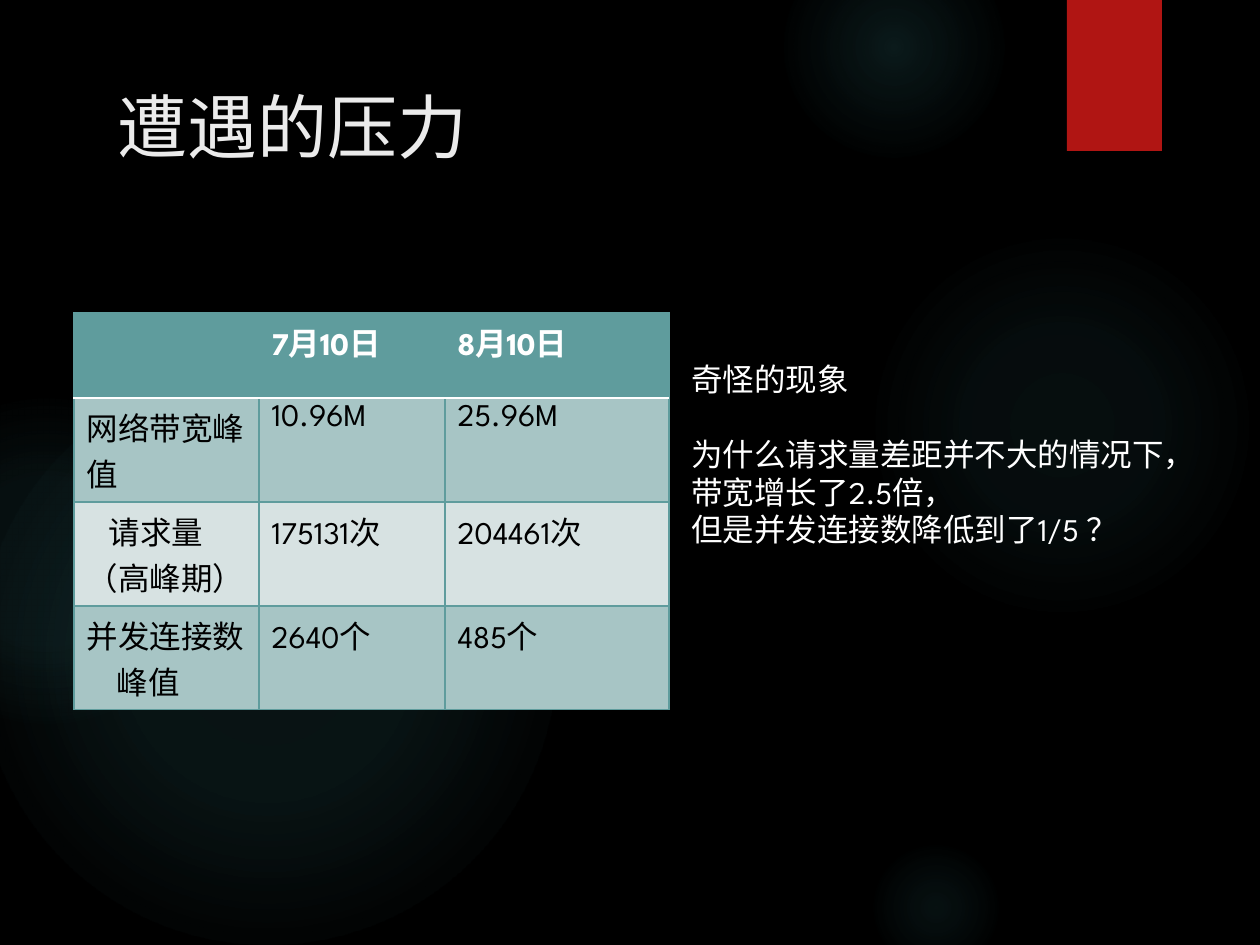
from lxml import etree
from pptx import Presentation
from pptx.dml.color import RGBColor
from pptx.enum.shapes import MSO_SHAPE as Shape
from pptx.enum.text import MSO_ANCHOR as Anchor
from pptx.oxml import parse_xml
from pptx.oxml.ns import nsdecls, qn
from pptx.util import Pt

EMU_PER_PX = 914400 / 126
FONT = "League Spartan"
BLACK, WHITE, TITLE = "000000", "FFFFFF", "EBEBEB"
RED, GLOW, TEAL = "B01513", "50B9C1", "5F9C9D"
BANDS = ["A7C5C5", "D7E2E2"]


def px(length):
    return round(length * EMU_PER_PX)


def rgb(value):
    return RGBColor.from_string(value)


def write(para, text, size=18, color=WHITE, bold=False, indent=0, before=0):
    """Put one formatted span in para; indent is in px, before in points."""
    if indent:
        para._p.get_or_add_pPr().set("indent", str(px(indent)))
    para.space_before = Pt(before)
    span = para.add_run()
    span.text = text
    font = span.font
    font.name, font.size, font.bold = FONT, Pt(size), bold
    font.color.rgb = rgb(color)


def write_lines(frame, lines, **style):
    """Write (text, extra format) pairs, one paragraph each."""
    for index, (text, extra) in enumerate(lines):
        para = frame.add_paragraph() if index else frame.paragraphs[0]
        write(para, text, **{**style, **extra})


def set_border(cell, side, color, width):
    line = etree.SubElement(cell._tc.get_or_add_tcPr(), qn(f"a:ln{side}"), w=str(Pt(width)))
    fill = etree.SubElement(line, qn("a:solidFill"))
    etree.SubElement(fill, qn("a:srgbClr"), val=color)


class SlideBuilder:
    def __init__(self, page, background):
        self.page = page
        page.background.fill.solid()
        page.background.fill.fore_color.rgb = rgb(background)

    def shape(self, kind, left, top, width, height, color):
        shape = self.page.shapes.add_shape(kind, px(left), px(top), px(width), px(height))
        shape.shadow.inherit = False
        shape.line.fill.background()
        shape.fill.solid()
        shape.fill.fore_color.rgb = rgb(color)
        return shape

    def glow(self, left, top, size, stops):
        """Draw a circle fading outward; stops are (position %, opacity %)."""
        circle = self.shape(Shape.OVAL, left, top, size, size, GLOW)
        marks = "".join(
            f'<a:gs pos="{position * 1000}"><a:srgbClr val="{GLOW}">'
            f'<a:alpha val="{opacity * 1000}"/></a:srgbClr></a:gs>'
            for position, opacity in stops
        )
        gradient = parse_xml(
            f'<a:gradFill {nsdecls("a")} rotWithShape="1"><a:gsLst>{marks}</a:gsLst>'
            '<a:path path="circle"><a:fillToRect l="50000" t="50000" r="50000" b="50000"/>'
            "</a:path></a:gradFill>"
        )
        properties = circle._element.spPr
        properties.replace(properties.find(qn("a:solidFill")), gradient)

    def text(self, left, top, width, height, lines, anchor=Anchor.TOP, wrap=True, **style):
        box = self.page.shapes.add_textbox(px(left), px(top), px(width), px(height))
        frame = box.text_frame
        frame.word_wrap, frame.vertical_anchor = wrap, anchor
        write_lines(frame, lines, **style)

    def table(self, left, top, widths, heights, rows):
        frame = self.page.shapes.add_table(
            len(heights), len(widths), px(left), px(top), px(sum(widths)), px(sum(heights))
        )
        table = frame.table
        for column, width in zip(table.columns, widths):
            column.width = px(width)
        for row, height in zip(table.rows, heights):
            row.height = px(height)
        for r, row in enumerate(rows):
            for c, lines in enumerate(row):
                self.cell(table.cell(r, c), r, lines)

    def cell(self, cell, row, lines):
        header = row == 0
        for side in "LRTB":
            rule = (side == "B" and header) or (side == "T" and row == 1)
            set_border(cell, side, *((WHITE, 1.5) if rule else (TEAL, 0.75)))
        cell.fill.solid()
        cell.fill.fore_color.rgb = rgb(TEAL if header else BANDS[(row - 1) % 2])
        write_lines(cell.text_frame, lines, color=WHITE if header else BLACK, bold=header)


def plain(*texts):
    return [[(text, {})] for text in texts]


def main():
    deck = Presentation()
    deck.slide_width, deck.slide_height = px(1260), px(945)
    slide = SlideBuilder(deck.slides.add_slide(deck.slide_layouts[6]), BLACK)

    for left, top, size, stops in [
        (868, 231, 388, [(0, 7), (36, 6), (69, 0)]),
        (784, -63, 220, [(0, 14), (36, 7), (73, 0)]),
        (868, 840, 136, [(0, 9), (36, 5), (66, 0)]),
        (-21, 368, 577, [(0, 11), (36, 10), (75, 0)]),
        (-116, 399, 325, [(0, 8), (36, 8), (72, 0)]),
    ]:
        slide.glow(left, top, size, stops + [(100, 0)])
    slide.shape(Shape.RECTANGLE, 1067, 0, 95, 151, RED)

    slide.text(105, 45, 912, 129, [("遭遇的压力", {})], anchor=Anchor.BOTTOM, size=40, color=TITLE)
    slide.table(74, 313, [185, 186, 224], [85, 104, 104, 104], [
        [[]] + plain("7月10日", "8月10日"),
        plain("网络带宽峰值", "10.96M", "25.96M"),
        [[("请求量（高峰期）", {"indent": 22})]] + plain("175131次", "204461次"),
        [[("并发连接数", {}), ("峰值", {"indent": 30})]] + plain("2640个", "485个"),
    ])
    slide.text(679, 354, 534, 204, [
        ("奇怪的现象", {}),
        ("为什么请求量差距并不大的情况下，", {"before": 21}),
        ("带宽增长了2.5倍，", {}),
        ("但是并发连接数降低到了1/5 ？", {}),
    ], wrap=False)
    deck.save("out.pptx")


if __name__ == "__main__":
    main()
